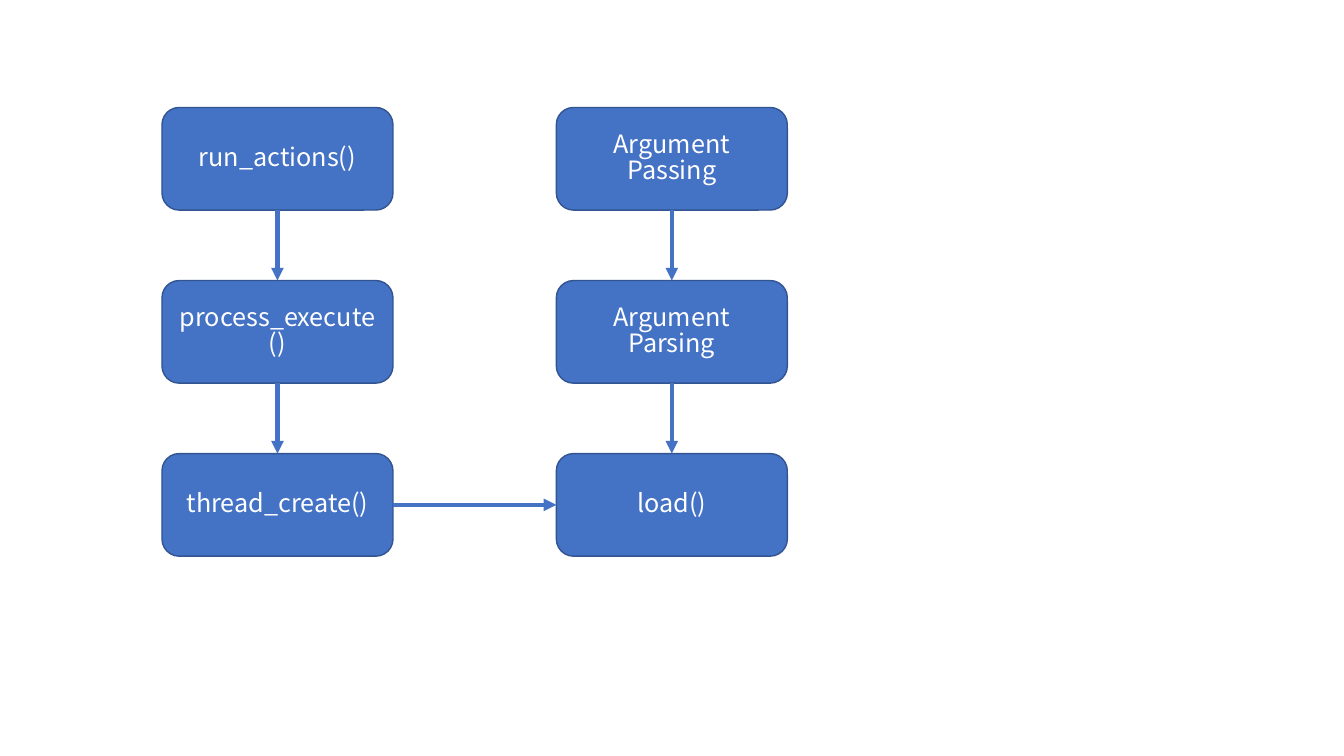
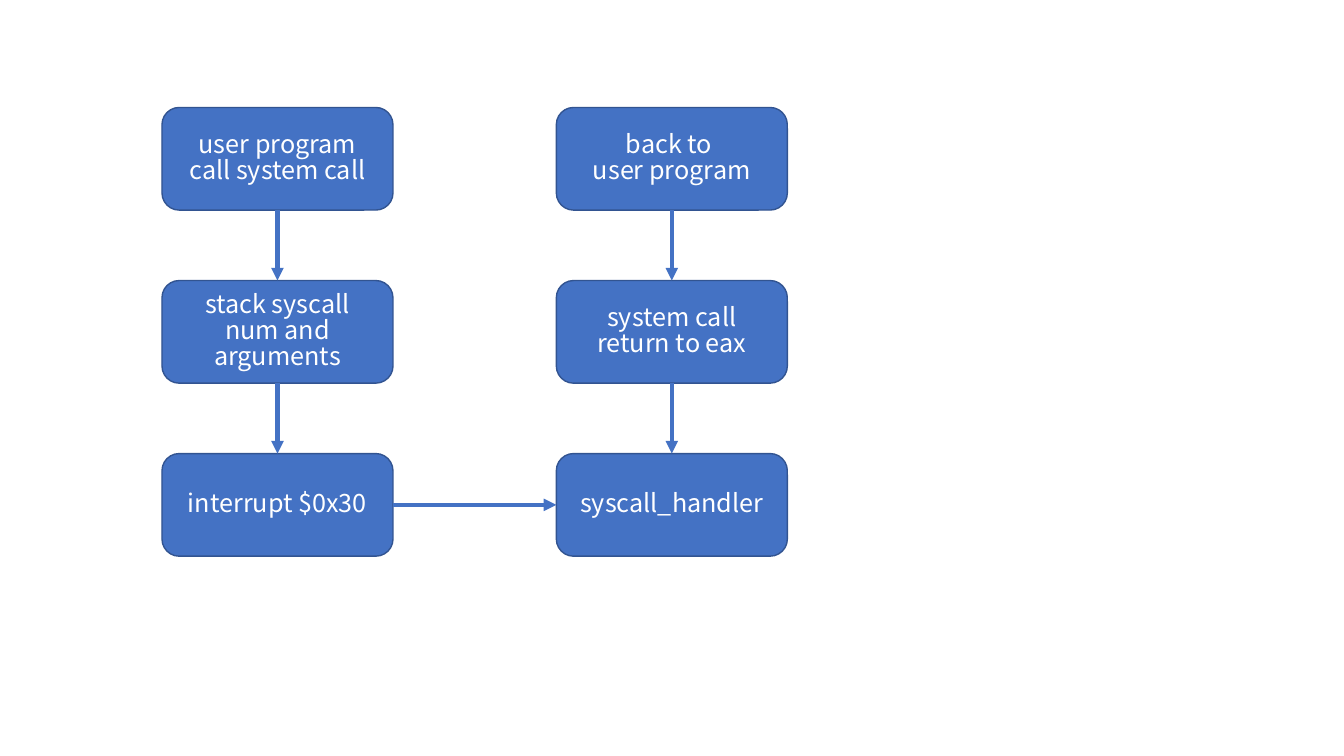
from lxml import etree
from pptx import Presentation
from pptx.dml.color import RGBColor
from pptx.enum.shapes import MSO_CONNECTOR, MSO_SHAPE
from pptx.enum.text import MSO_ANCHOR, PP_ALIGN
from pptx.oxml.ns import qn
from pptx.util import Pt

ROUNDED = MSO_SHAPE.ROUNDED_RECTANGLE
STRAIGHT = MSO_CONNECTOR.STRAIGHT
MIDDLE = MSO_ANCHOR.MIDDLE
CENTER = PP_ALIGN.CENTER

FLOWS = [
    [
        ["run_actions()", "process_execute()", "thread_create()"],
        ["Argument Passing", "Argument Parsing", "load()"],
    ],
    [
        ["user program call system call", "stack syscall num and arguments", "interrupt $0x30"],
        ["back to \nuser program", "system call\nreturn to eax", "syscall_handler"],
    ],
]

FONT = "Noto Sans CJK KR"
BLUE, BORDER, WHITE = "4472C4", "325491", "FFFFFF"
LEFT, TOP = 115.7, 76.8
BOX_WIDTH, BOX_HEIGHT = 165, 73.3
COLUMN_STEP, ROW_STEP = 281.7, 123.6
SITE_TOP, SITE_LEFT, SITE_BOTTOM, SITE_RIGHT = range(4)


def color(value):
    return RGBColor.from_string(value)


def add_box(slide, column, row, text):
    box = slide.shapes.add_shape(
        ROUNDED, Pt(LEFT + column * COLUMN_STEP), Pt(TOP + row * ROW_STEP),
        Pt(BOX_WIDTH), Pt(BOX_HEIGHT))
    box.shadow.inherit = False
    box.fill.solid()
    box.fill.fore_color.rgb = color(BLUE)
    box.line.color.rgb = color(BORDER)
    box.line.width = Pt(1)
    frame = box.text_frame
    frame.word_wrap = True
    frame.vertical_anchor = MIDDLE
    frame.text = text
    for paragraph in frame.paragraphs:
        paragraph.alignment = CENTER
        paragraph.line_spacing = 0.85
        paragraph.font.name = FONT
        paragraph.font.size = Pt(18)
        paragraph.font.color.rgb = color(WHITE)
    return box


def add_arrow(slide, start, start_site, end, end_site):
    arrow = slide.shapes.add_connector(STRAIGHT, 0, 0, 0, 0)
    arrow.begin_connect(start, start_site)
    arrow.end_connect(end, end_site)
    arrow.line.color.rgb = color(BLUE)
    arrow.line.width = Pt(3)
    etree.SubElement(arrow.line._get_or_add_ln(), qn("a:tailEnd"), type="triangle")
    etree.SubElement(arrow._element.spPr, qn("a:effectLst"))


def add_flow(presentation, columns):
    slide = presentation.slides.add_slide(presentation.slide_layouts[6])
    boxes = [[add_box(slide, column, row, text) for row, text in enumerate(texts)]
             for column, texts in enumerate(columns)]
    for stack in boxes:
        for upper, lower in zip(stack, stack[1:]):
            add_arrow(slide, upper, SITE_BOTTOM, lower, SITE_TOP)
    first, second = boxes
    add_arrow(slide, first[-1], SITE_RIGHT, second[-1], SITE_LEFT)


def main():
    presentation = Presentation()
    presentation.slide_width, presentation.slide_height = Pt(960), Pt(540)
    for columns in FLOWS:
        add_flow(presentation, columns)
    presentation.save("out.pptx")


if __name__ == "__main__":
    main()
